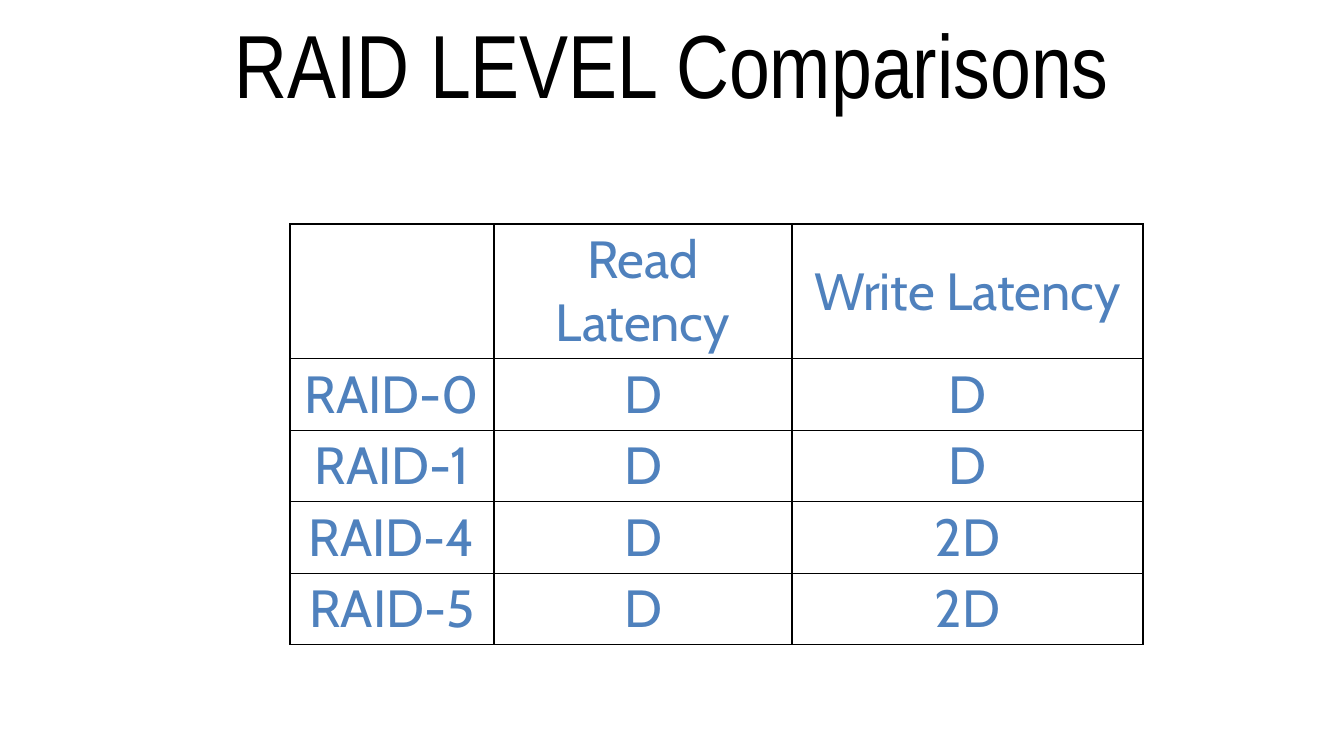
from lxml.etree import SubElement as Sub
from pptx import Presentation
from pptx.dml.color import RGBColor
from pptx.enum.text import MSO_ANCHOR as Anchor, PP_ALIGN as Align
from pptx.oxml.ns import qn
from pptx.util import Pt

SCALE = 914400 / 134.4
BLACK, BLUE = "000000", "4F81BD"
COLS = [204, 298, 351]
ROWS = [134, 71, 71, 71, 71]
CELLS = [
    ["", "Read Latency", "Write Latency"],
    ["RAID-0", "D", "D"],
    ["RAID-1", "D", "D"],
    ["RAID-4", "D", "2D"],
    ["RAID-5", "D", "2D"],
]


def px(n):
    return round(n * SCALE)


def paint(target, color):
    target.rgb = RGBColor.from_string(color)


def write(frame, text, font, size, color):
    para = frame.paragraphs[0]
    para.alignment = Align.CENTER
    if text:
        run = para.add_run()
        run.text = text
        run.font.name = font
        run.font.size = Pt(size)
        paint(run.font.color, color)


def add_title(slide, text):
    title = slide.shapes.title
    title.left, title.top = px(67), px(0)
    title.width, title.height = px(1210), px(126)
    title.text_frame.vertical_anchor = Anchor.MIDDLE
    write(title.text_frame, text, "Arial Narrow", 48, BLACK)


def add_edges(cell):
    props = cell._tc.get_or_add_tcPr()
    for side in ("lnL", "lnR", "lnT", "lnB"):
        line = Sub(props, qn(f"a:{side}"), w=str(Pt(0.75)))
        fill = Sub(line, qn("a:solidFill"))
        Sub(fill, qn("a:srgbClr"), val=BLACK)


def style_cell(cell, text):
    add_edges(cell)
    cell.fill.background()
    cell.vertical_anchor = Anchor.MIDDLE
    cell.margin_left = cell.margin_right = px(4)
    cell.margin_top = cell.margin_bottom = px(4)
    write(cell.text_frame, text, "Cabin", 28, BLUE)


def add_grid(slide, left, top):
    frame = slide.shapes.add_table(
        len(ROWS), len(COLS), px(left), px(top), px(sum(COLS)), px(sum(ROWS)))
    table = frame.table
    table.first_row = table.horz_banding = False
    for col, width in zip(table.columns, COLS):
        col.width = px(width)
    for row, height, texts in zip(table.rows, ROWS, CELLS):
        row.height = px(height)
        for cell, text in zip(row.cells, texts):
            style_cell(cell, text)


def main():
    deck = Presentation()
    deck.slide_width, deck.slide_height = px(1344), px(756)
    slide = deck.slides.add_slide(deck.slide_layouts[5])
    add_title(slide, "RAID LEVEL Comparisons")
    add_grid(slide, 290, 224)
    deck.save("out.pptx")


if __name__ == "__main__":
    main()
